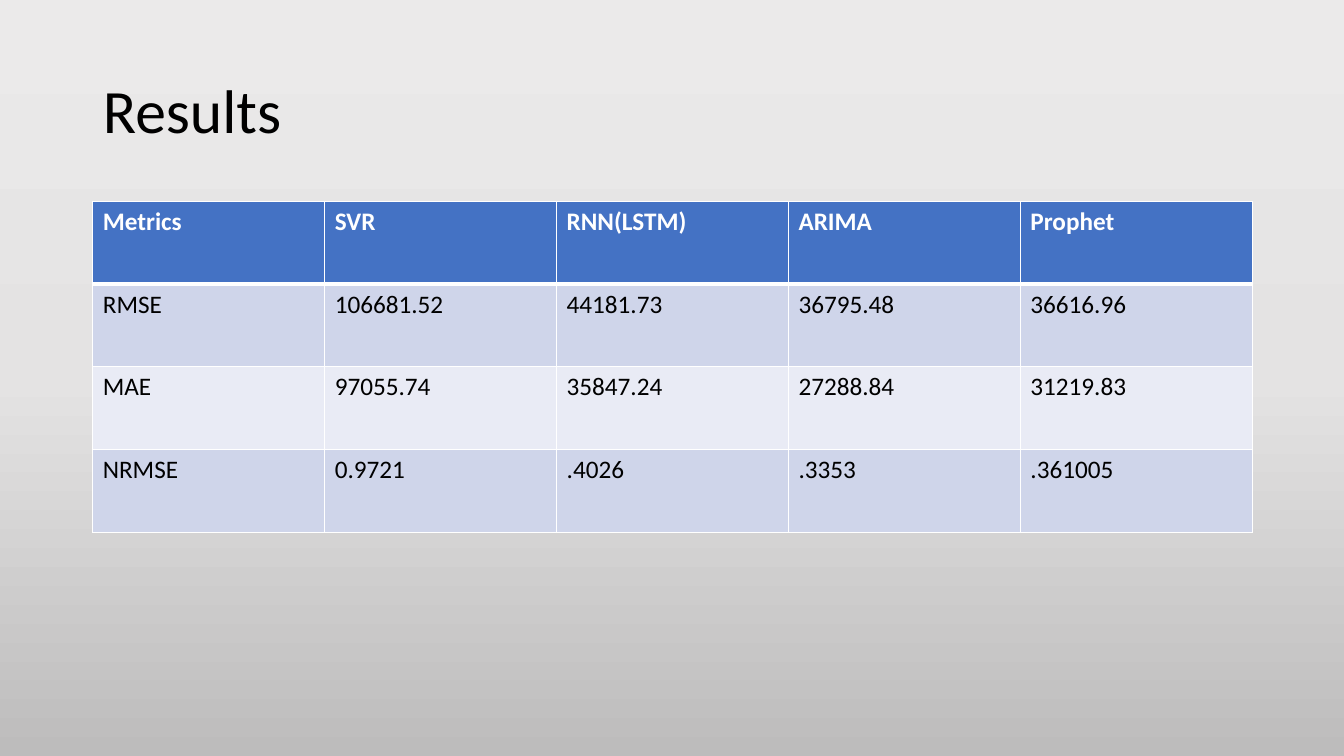
import copy

import pptx
import pptx.dml.color
import pptx.enum.text
import pptx.oxml.ns
import pptx.oxml.xmlchemy
import pptx.util
from pptx.dml.color import RGBColor
from pptx.util import Inches

BLACK = RGBColor(0x00, 0x00, 0x00)
WHITE = RGBColor(0xFF, 0xFF, 0xFF)
HEADER_BLUE = RGBColor(0x44, 0x72, 0xC4)
BAND_DARK = RGBColor(0xCF, 0xD5, 0xEA)
BAND_LIGHT = RGBColor(0xE9, 0xEB, 0xF5)
BACKDROP = [
    (0, RGBColor(0xEB, 0xEA, 0xEA)),
    (0.5, RGBColor(0xE4, 0xE3, 0xE3)),
    (1, RGBColor(0xBD, 0xBC, 0xBC)),
]

LEFT, WIDTH = Inches(0.92), Inches(11.5)
ROW_HEIGHT = Inches(0.82)

METRICS = [
    ["Metrics", "SVR", "RNN(LSTM)", "ARIMA", "Prophet"],
    ["RMSE", "106681.52", "44181.73", "36795.48", "36616.96"],
    ["MAE", "97055.74", "35847.24", "27288.84", "31219.83"],
    ["NRMSE", "0.9721", ".4026", ".3353", ".361005"],
]


class ResultsSlide:
    font_name = "Calibri"

    def __init__(self, deck):
        self.slide = deck.slides.add_slide(deck.slide_layouts[5])

    def format_text(self, paragraph, size, color, bold=False):
        style = {"name": self.font_name, "size": pptx.util.Pt(size), "bold": bold}
        for run in paragraph.runs:
            for attribute, value in style.items():
                setattr(run.font, attribute, value)
            run.font.color.rgb = color

    def background(self, stops):
        fill = self.slide.background.fill
        fill.gradient()
        fill.gradient_angle = 270
        stop_list = self.slide.element.find(".//" + pptx.oxml.ns.qn("a:gsLst"))
        while len(stop_list) < len(stops):
            stop_list.append(copy.deepcopy(stop_list[0]))
        for stop, (position, color) in zip(fill.gradient_stops, stops):
            stop.position = position
            stop.color.rgb = color

    def title(self, text):
        heading = self.slide.shapes.title
        place = {"left": LEFT, "top": Inches(0.4), "width": WIDTH, "height": Inches(1.45)}
        for attribute, value in place.items():
            setattr(heading, attribute, value)
        frame = heading.text_frame
        frame.text = text
        frame.word_wrap = True
        frame.vertical_anchor = pptx.enum.text.MSO_ANCHOR.MIDDLE
        paragraph = frame.paragraphs[0]
        paragraph.alignment = pptx.enum.text.PP_ALIGN.LEFT
        paragraph.line_spacing = 0.9
        self.format_text(paragraph, 44, BLACK)

    def borders(self, cell, widths):
        properties = cell._tc.get_or_add_tcPr()
        for side, points in widths.items():
            line = pptx.oxml.xmlchemy.OxmlElement(f"a:ln{side}")
            line.set("w", str(pptx.util.Pt(points)))
            solid = pptx.oxml.xmlchemy.OxmlElement("a:solidFill")
            color = pptx.oxml.xmlchemy.OxmlElement("a:srgbClr")
            color.set("val", str(WHITE))
            solid.append(color)
            line.append(solid)
            properties.append(line)

    def table(self, rows, top):
        grid = self.slide.shapes.add_table(
            len(rows), len(rows[0]), LEFT, top, WIDTH, ROW_HEIGHT * len(rows)
        ).table
        for r, values in enumerate(rows):
            header = r == 0
            band = HEADER_BLUE if header else BAND_DARK if r % 2 else BAND_LIGHT
            for c, value in enumerate(values):
                cell = grid.cell(r, c)
                cell.text = value
                self.format_text(
                    cell.text_frame.paragraphs[0], 18, WHITE if header else BLACK, header
                )
                # The rule under the header is heavier than the others
                self.borders(
                    cell, {"L": 1, "R": 1, "T": 3 if r == 1 else 1, "B": 3 if header else 1}
                )
                cell.fill.solid()
                cell.fill.fore_color.rgb = band


def main():
    deck = pptx.Presentation()
    deck.slide_width, deck.slide_height = Inches(13.33), Inches(7.5)
    results = ResultsSlide(deck)

    # Backdrop and heading
    results.background(BACKDROP)
    results.title("Results")

    # Error metrics by model
    results.table(METRICS, Inches(2))

    deck.save("out.pptx")


if __name__ == "__main__":
    main()
